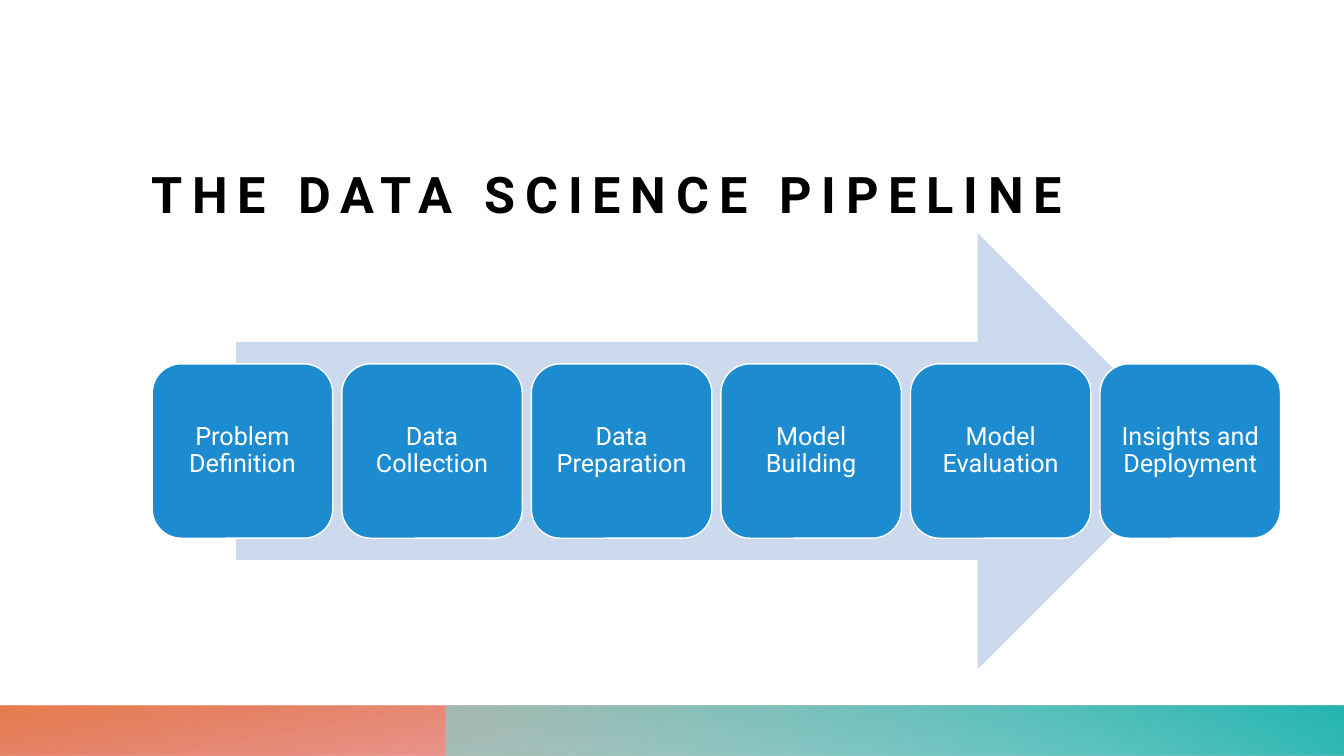
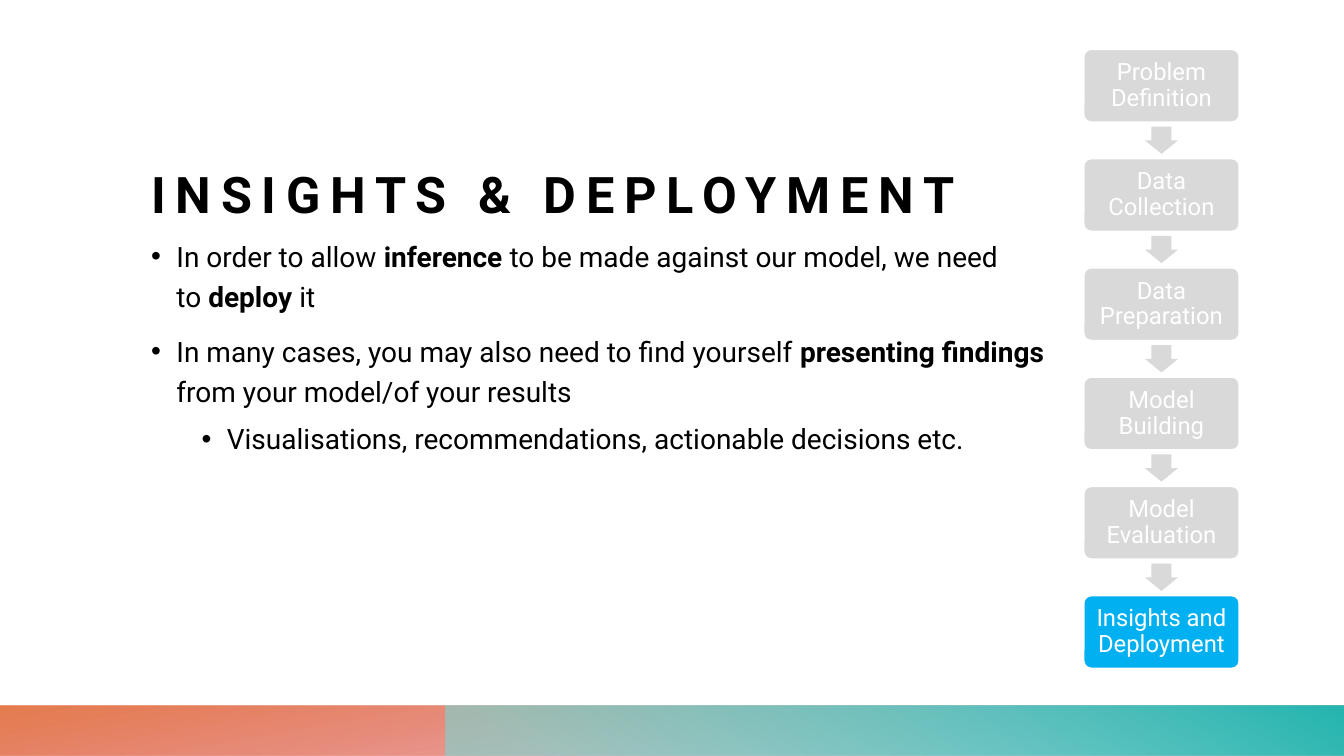
from lxml import etree
from pptx import Presentation
from pptx.dml.color import RGBColor
from pptx.enum.shapes import MSO_SHAPE
from pptx.enum.text import MSO_ANCHOR, PP_ALIGN
from pptx.oxml import parse_xml
from pptx.oxml.ns import nsdecls, qn
from pptx.util import Inches, Pt

RECT, ROUNDED = MSO_SHAPE.RECTANGLE, MSO_SHAPE.ROUNDED_RECTANGLE
RIGHT_ARROW, DOWN_ARROW = MSO_SHAPE.RIGHT_ARROW, MSO_SHAPE.DOWN_ARROW
TOP, MIDDLE, BOTTOM = MSO_ANCHOR.TOP, MSO_ANCHOR.MIDDLE, MSO_ANCHOR.BOTTOM
CENTER = PP_ALIGN.CENTER

STAGES = ["Problem Definition", "Data Collection", "Data Preparation",
          "Model Building", "Model Evaluation", "Insights and Deployment"]
PIPELINE_TITLE = "THE DATA SCIENCE PIPELINE"
DEPLOYMENT_TITLE = "INSIGHTS & DEPLOYMENT"
# Each bullet: level, then (text, bold) runs; "\n" is a line break
DEPLOYMENT_BULLETS = [
    (0, [("In order to allow ", False), ("inference ", True),
         ("to be made against our model, we need\nto ", False),
         ("deploy ", True), ("it", False)]),
    (0, [("In many cases, you may also need to find yourself ", False),
         ("presenting findings\n", True),
         ("from your model/of your results", False)]),
    (1, [("Visualisations, recommendations, actionable decisions etc.", False)]),
]

FONT = "Roboto"
BLACK, WHITE = "000000", "FFFFFF"
STAGE_BLUE, ARROW_BLUE = "1D8BCF", "CDDAED"
INACTIVE, ACTIVE = "D9D9D9", "00B0F0"

SLIDE_W, SLIDE_H = 13.33, 7.5
MARGIN, CONTENT_W = 1.5, 11.2
BODY_TOP, BODY_H = 2.31, 4.33
BAND_H = 0.5
# Footer bands: left edge, angle, (position %, colour, opacity %) stops
BANDS = [
    (0, 260, [(14, "CF1D31", 28), (100, "E1662F", 85)]),
    (4.42, 300, [(9, "6FE1DD", 55), (99, "26B5B0", 100)]),
]


def rgb(value):
    return RGBColor.from_string(value)


def add_shape(slide, kind, left, top, width, height, fill=None, line=None):
    shape = slide.shapes.add_shape(kind, Inches(left), Inches(top),
                                   Inches(width), Inches(height))
    shape.shadow.inherit = False
    if fill:
        shape.fill.solid()
        shape.fill.fore_color.rgb = rgb(fill)
    if line:
        shape.line.color.rgb = rgb(line)
        shape.line.width = Pt(1)
    else:
        shape.line.fill.background()
    return shape


def set_frame(shape, anchor, inset=0):
    frame = shape.text_frame
    frame.word_wrap = True
    frame.vertical_anchor = anchor
    frame.margin_left = frame.margin_right = Inches(inset)
    frame.margin_top = frame.margin_bottom = Inches(inset)
    return frame


def add_text_area(slide, top, height, anchor):
    box = slide.shapes.add_textbox(Inches(MARGIN), Inches(top),
                                   Inches(CONTENT_W), Inches(height))
    return set_frame(box, anchor)


def add_run(paragraph, text, size, color, bold=False):
    for index, part in enumerate(text.split("\n")):
        if index:
            paragraph.add_line_break()
        if part:
            run = paragraph.add_run()
            run.text = part
            run.font.name = FONT
            run.font.size = Pt(size)
            run.font.bold = bold
            run.font.color.rgb = rgb(color)
    return run


def add_band(slide, left, angle, stops):
    band = add_shape(slide, RECT, left, SLIDE_H - BAND_H, SLIDE_W - left, BAND_H)
    stop_xml = "".join(
        f'<a:gs pos="{position * 1000}"><a:srgbClr val="{color}">'
        f'<a:alpha val="{opacity * 1000}"/></a:srgbClr></a:gs>'
        for position, color, opacity in stops)
    gradient = parse_xml(
        f'<a:gradFill {nsdecls("a")} rotWithShape="1"><a:gsLst>{stop_xml}</a:gsLst>'
        f'<a:lin ang="{angle * 60000}" scaled="0"/></a:gradFill>')
    band.element.spPr.find(qn("a:prstGeom")).addnext(gradient)


def add_titled_slide(prs, title):
    """Add a slide with the shared footer bands and title."""
    slide = prs.slides.add_slide(prs.slide_layouts[6])
    for band in BANDS:
        add_band(slide, *band)
    frame = add_text_area(slide, 0.87, 1.35, BOTTOM)
    run = add_run(frame.paragraphs[0], title, 36, BLACK, bold=True)
    run.font._element.set("spc", "700")
    return slide


def add_stage(slide, label, left, top, width, height, fill, size):
    stage = add_shape(slide, ROUNDED, left, top, width, height, fill, WHITE)
    paragraph = set_frame(stage, MIDDLE, 0.07).paragraphs[0]
    paragraph.alignment = CENTER
    paragraph.line_spacing = 0.9
    add_run(paragraph, label, size, WHITE)
    return stage


def add_bullets(slide, bullets):
    frame = add_text_area(slide, BODY_TOP, BODY_H, TOP)
    for index, (level, runs) in enumerate(bullets):
        paragraph = frame.add_paragraph() if index else frame.paragraphs[0]
        paragraph.level = level
        paragraph.line_spacing = 1.2
        paragraph.space_before = Pt(5 if level else 10)
        properties = paragraph._p.get_or_add_pPr()
        properties.set("marL", str(Inches(0.25 + 0.5 * level)))
        properties.set("indent", str(Inches(-0.25)))
        etree.SubElement(properties, qn("a:buFont")).set("typeface", "Arial")
        etree.SubElement(properties, qn("a:buChar")).set("char", "•")
        for text, bold in runs:
            add_run(paragraph, text, 20, BLACK, bold)


def add_pipeline(slide):
    """Draw the stages in a row over one wide arrow."""
    width, height, gap = 1.79, 1.73, 0.09
    arrow_w = 0.85 * CONTENT_W
    add_shape(slide, RIGHT_ARROW, MARGIN + (CONTENT_W - arrow_w) / 2, BODY_TOP,
              arrow_w, BODY_H, ARROW_BLUE)
    top = BODY_TOP + (BODY_H - height) / 2
    for index, label in enumerate(STAGES):
        left = MARGIN + 0.01 + index * (width + gap)
        add_stage(slide, label, left, top, width, height, STAGE_BLUE, 18)


def add_progress(slide, current):
    """Draw the stages in a column, with the current one highlighted."""
    left, first_top, width, height, pitch = 10.75, 0.49, 1.54, 0.72, 1.084
    arrow_w, arrow_h = 0.33, 0.27
    for index, label in enumerate(STAGES):
        top = first_top + index * pitch
        if index:
            arrow = add_shape(slide, DOWN_ARROW, left + (width - arrow_w) / 2,
                              top - (pitch - height + arrow_h) / 2,
                              arrow_w, arrow_h, INACTIVE)
            arrow.adjustments[0], arrow.adjustments[1] = 0.6, 0.5
        fill = ACTIVE if label == current else INACTIVE
        stage = add_stage(slide, label, left, top, width, height, fill, 17)
        stage.adjustments[0] = 0.1


def main():
    prs = Presentation()
    prs.slide_width, prs.slide_height = Inches(SLIDE_W), Inches(SLIDE_H)

    add_pipeline(add_titled_slide(prs, PIPELINE_TITLE))

    deployment = add_titled_slide(prs, DEPLOYMENT_TITLE)
    add_bullets(deployment, DEPLOYMENT_BULLETS)
    add_progress(deployment, STAGES[-1])

    prs.save("out.pptx")


if __name__ == "__main__":
    main()
